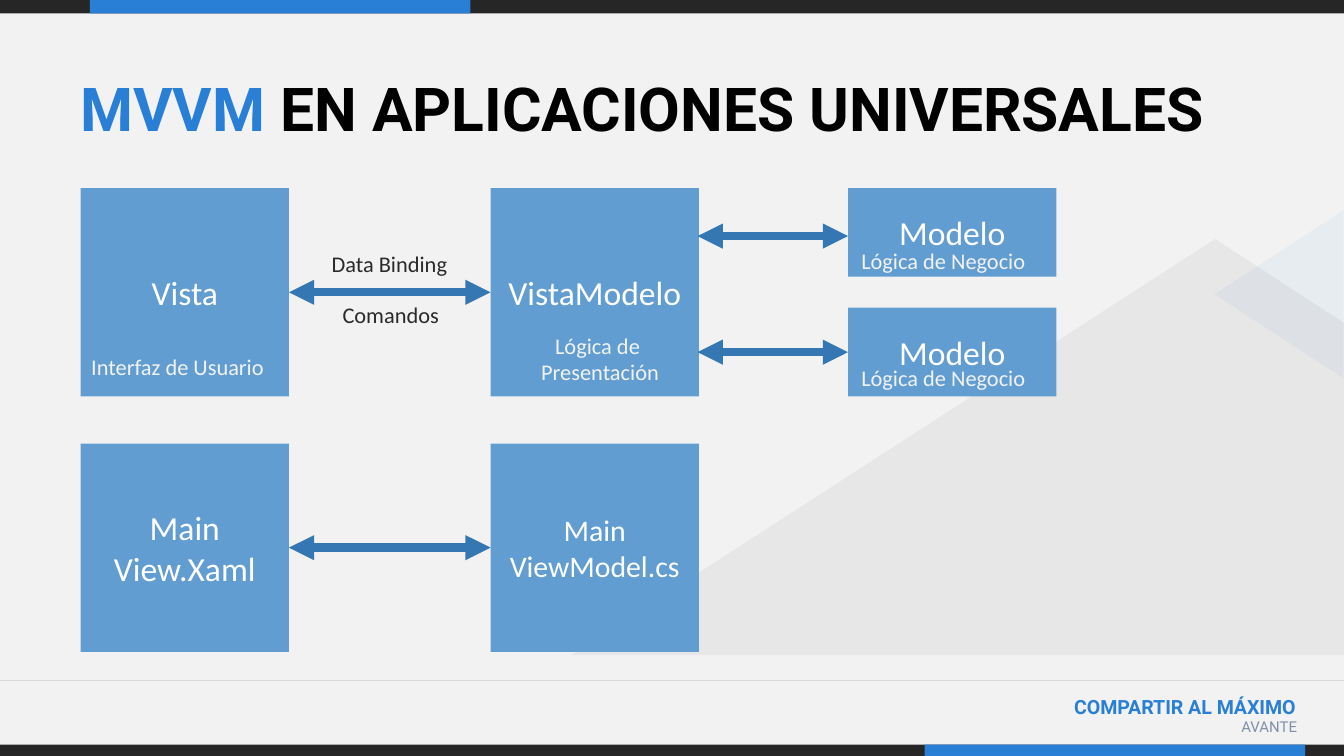
from lxml import etree
from pptx import Presentation
from pptx.dml.color import RGBColor
from pptx.enum.shapes import MSO_CONNECTOR, MSO_SHAPE
from pptx.enum.text import MSO_ANCHOR, PP_ALIGN
from pptx.oxml.ns import qn
from pptx.util import Pt

STRAIGHT = MSO_CONNECTOR.STRAIGHT
RECTANGLE = MSO_SHAPE.RECTANGLE
TRIANGLE = MSO_SHAPE.ISOSCELES_TRIANGLE
MIDDLE = MSO_ANCHOR.MIDDLE
LEFT, CENTER, RIGHT = PP_ALIGN.LEFT, PP_ALIGN.CENTER, PP_ALIGN.RIGHT
LEFT_SIDE, RIGHT_SIDE = 1, 3

COLORS = {
    "background": "F2F2F2",
    "dark": "262626",
    "accent": "297FD5",
    "box": "629DD1",
    "arrow": "3477B2",
    "rule": "D9D9D9",
    "title": "000000",
    "label": "2A2A2A",
    "light": "F2F2F2",
    "white": "FFFFFF",
    "muted": "7F8FA9",
}
WIDTH, HEIGHT = 720, 405
BOX = 111.6
VIEW_LEFT, VIEW_MODEL_LEFT, MODEL_LEFT = 43.2, 262.8, 454.3
TOP_ROW, BOTTOM_ROW = 100.8, 237.6
MODEL_HEIGHT = 47.5
SECOND_MODEL_TOP = TOP_ROW + BOX - MODEL_HEIGHT
BAR_WIDTH = 203.8


def rgb(name):
    return RGBColor.from_string(COLORS[name])


class SlideBuilder:
    def __init__(self, slide):
        self.slide = slide
        slide.background.fill.solid()
        slide.background.fill.fore_color.rgb = rgb("background")

    def paint(self, shape, color, opacity=None):
        shape.shadow.inherit = False
        shape.line.fill.background()
        shape.fill.solid()
        shape.fill.fore_color.rgb = rgb(color)
        if opacity is not None:
            color_node = shape._element.spPr.find(qn("a:solidFill"))[0]
            etree.SubElement(color_node, qn("a:alpha"), val=str(opacity * 1000))
        return shape

    def preset(self, kind, left, top, width, height, color, opacity=None):
        shape = self.slide.shapes.add_shape(
            kind, Pt(left), Pt(top), Pt(width), Pt(height))
        return self.paint(shape, color, opacity)

    def polygon(self, points, color, opacity):
        builder = self.slide.shapes.build_freeform(*points[0], scale=Pt(1))
        builder.add_line_segments(points[1:], close=True)
        return self.paint(builder.convert_to_shape(), color, opacity)

    def fill_text(self, frame, lines, size, color, font, alignment, bold=False):
        for index, line in enumerate(lines):
            paragraph = frame.add_paragraph() if index else frame.paragraphs[0]
            paragraph.text = line
            paragraph.alignment = alignment
            paragraph.font.size = Pt(size)
            paragraph.font.name = font
            paragraph.font.bold = bold
            paragraph.font.color.rgb = rgb(color)

    def box(self, left, top, height, lines, size=18):
        shape = self.preset(RECTANGLE, left, top, BOX, height, "box")
        frame = shape.text_frame
        frame.word_wrap = True
        frame.vertical_anchor = MIDDLE
        frame.margin_left = frame.margin_right = Pt(2.9)
        frame.margin_top = frame.margin_bottom = Pt(2.9)
        self.fill_text(frame, lines, size, "white", "Calibri", CENTER)
        return shape

    def text(self, left, top, width, height, lines, size, color,
             font="Calibri", alignment=LEFT, bold=False, wrap=False):
        shape = self.slide.shapes.add_textbox(
            Pt(left), Pt(top), Pt(width), Pt(height))
        shape.text_frame.word_wrap = wrap
        self.fill_text(shape.text_frame, lines, size, color, font, alignment, bold)
        return shape

    def title(self, highlight, rest):
        shape = self.text(36, 31.7, 648, 38.2, [highlight + rest], 32.4, "title",
                          "Roboto", bold=True, wrap=True)
        shape.text_frame.margin_top = Pt(6.3)
        paragraph = shape.text_frame.paragraphs[0]
        first_run = paragraph.runs[0]
        first_run.text = highlight
        first_run.font.color.rgb = rgb("accent")
        paragraph.add_run().text = rest

    def line(self, start, end, color, width):
        connector = self.slide.shapes.add_connector(
            STRAIGHT, Pt(start[0]), Pt(start[1]), Pt(end[0]), Pt(end[1]))
        connector.line.color.rgb = rgb(color)
        connector.line.width = Pt(width)
        etree.SubElement(connector._element.spPr, qn("a:effectLst"))
        return connector

    def double_arrow(self, start, end, source=None, target=None):
        connector = self.line(start, end, "arrow", 4.5)
        outline = connector._element.spPr.find(qn("a:ln"))
        for tag in ("a:headEnd", "a:tailEnd"):
            etree.SubElement(outline, qn(tag), type="triangle")
        if source is not None:
            connector.begin_connect(source, LEFT_SIDE)
        if target is not None:
            connector.end_connect(target, RIGHT_SIDE)


def main():
    presentation = Presentation()
    presentation.slide_width = Pt(WIDTH)
    presentation.slide_height = Pt(HEIGHT)
    page = SlideBuilder(presentation.slides.add_slide(presentation.slide_layouts[6]))

    for top, height, accent_left in ((0, 7.2, 48.2), (399, 6, 495.4)):
        page.preset(RECTANGLE, 0, top, WIDTH, height, "dark")
        page.preset(RECTANGLE, accent_left, top, BAR_WIDTH, height, "accent")
    page.text(486, 368.6, 215.3, 28.8, ["COMPARTIR AL MÁXIMO"], 10.5, "accent",
              "Roboto", RIGHT, bold=True, wrap=True)
    page.text(571.7, 380.9, 130.3, 22.3, ["AVANTE"], 8, "muted",
              "Roboto", RIGHT, wrap=True)
    page.line((0, 364.5), (WIDTH, 364.5), "rule", 0.75)

    page.polygon([(WIDTH, 351.4), (WIDTH, 172.8), (650.9, 128.2), (306, 351.4)],
                 "dark", 5)
    triangle = page.preset(TRIANGLE, 640.1, 123.1, 90, 69.1, "accent", 5)
    triangle.rotation = 270

    page.title("MVVM", " EN APLICACIONES UNIVERSALES")

    view = page.box(VIEW_LEFT, TOP_ROW, BOX, ["Vista"])
    view_model = page.box(VIEW_MODEL_LEFT, TOP_ROW, BOX, ["VistaModelo"])
    page.box(MODEL_LEFT, TOP_ROW, MODEL_HEIGHT, ["Modelo"])
    second_model = page.box(MODEL_LEFT, SECOND_MODEL_TOP, MODEL_HEIGHT, ["Modelo"])
    main_view = page.box(VIEW_LEFT, BOTTOM_ROW, BOX, ["Main", "View.Xaml"])
    main_view_model = page.box(VIEW_MODEL_LEFT, BOTTOM_ROW, BOX,
                               ["Main", "ViewModel.cs"], 16)

    for top, source, target in ((TOP_ROW, view_model, view),
                                (BOTTOM_ROW, main_view_model, main_view)):
        middle = top + BOX / 2
        page.double_arrow((VIEW_MODEL_LEFT, middle), (VIEW_LEFT + BOX, middle),
                          source, target)
    for middle, source in ((126.5, None), (188.65, second_model)):
        page.double_arrow((MODEL_LEFT, middle), (373.7, middle), source)

    for left, top, width, words, color in (
        (170.6, 130.3, 84.2, "Data Binding", "label"),
        (176.4, 157.7, 71.3, "Comandos", "label"),
        (41.8, 185.8, 117.4, "Interfaz de Usuario", "light"),
        (MODEL_LEFT, 191.5, 113.8, "Lógica de Negocio", "light"),
        (MODEL_LEFT, 128.9, 113.8, "Lógica de Negocio", "light"),
    ):
        page.text(left, top, width, 21.6, [words], 12, color)
    page.text(279.4, 174.2, 84.2, 36, ["Lógica de ", "Presentación"], 12,
              "light", alignment=CENTER)

    presentation.save("out.pptx")


if __name__ == "__main__":
    main()
